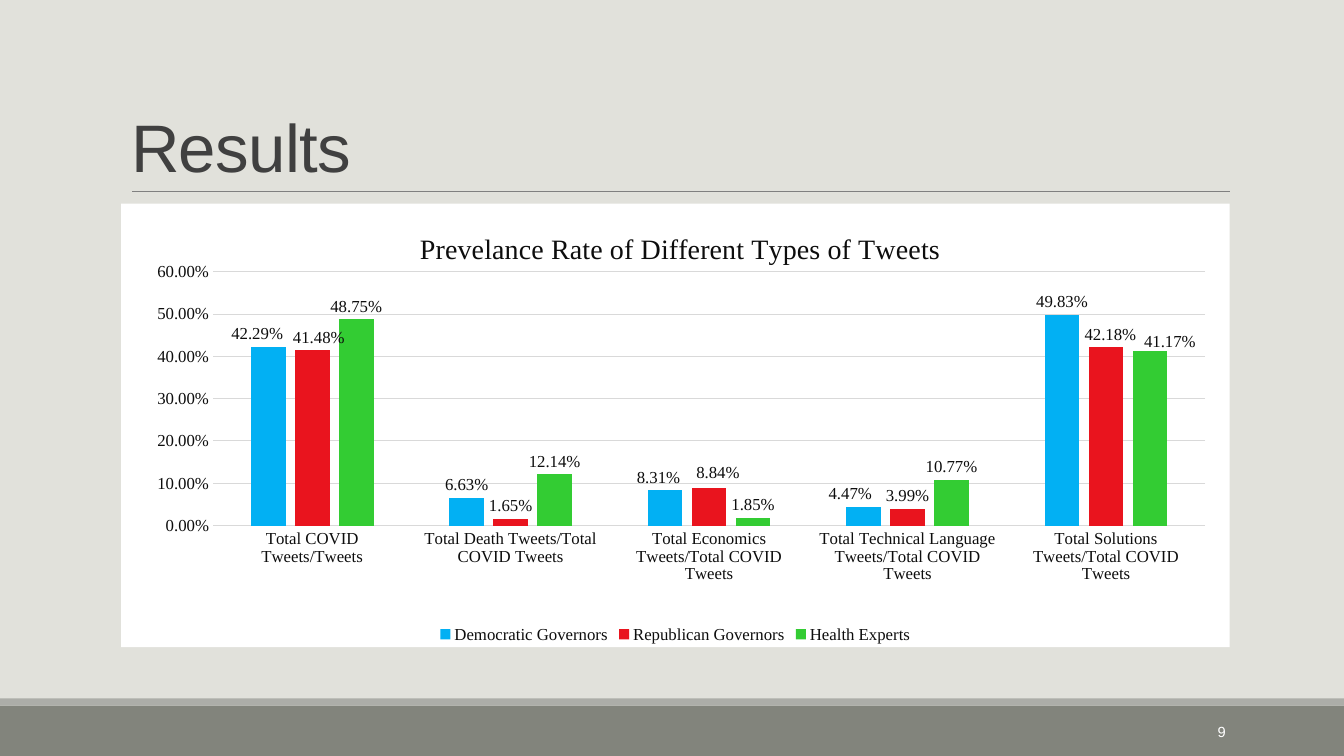
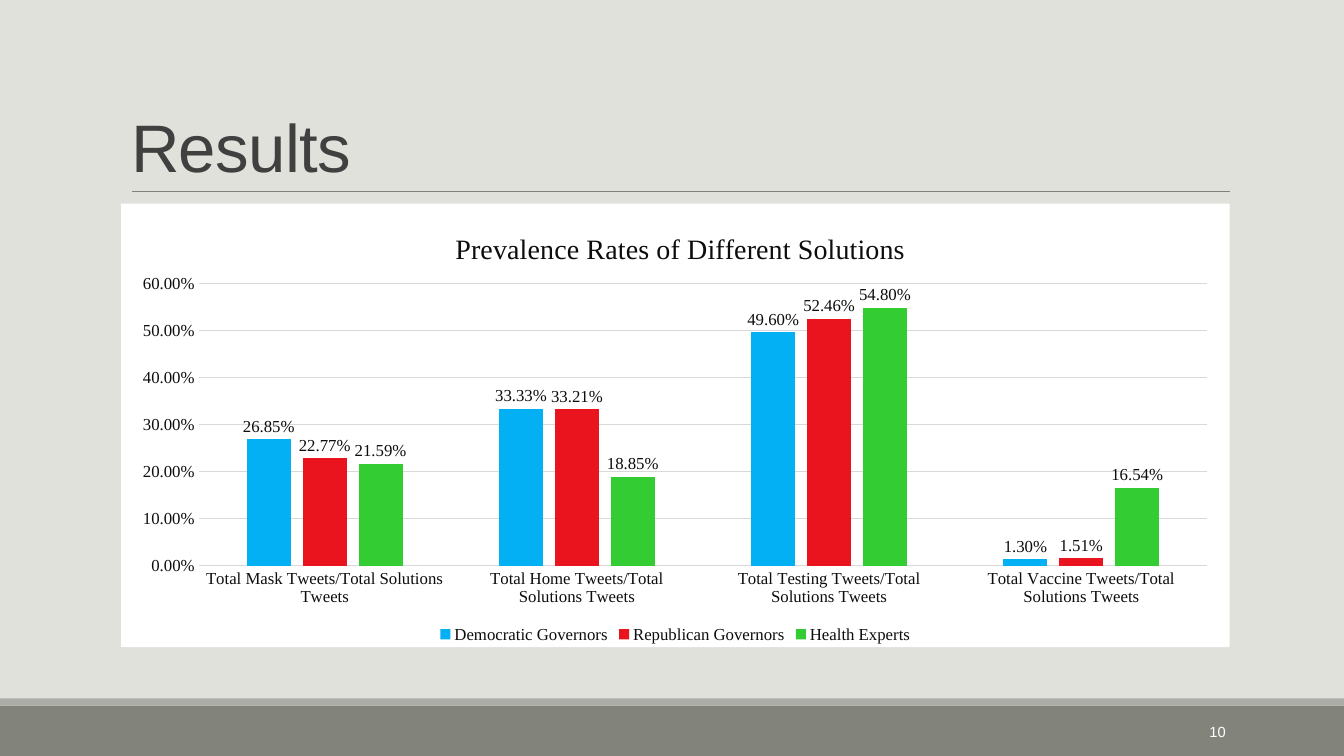
import dataclasses

import pptx
import pptx.chart.data
import pptx.dml.color
import pptx.enum.chart
import pptx.enum.shapes
import pptx.enum.text
import pptx.oxml
import pptx.oxml.ns
import pptx.util

Cm = pptx.util.Cm
Pt = pptx.util.Pt


def rgb(code):
    """Return a colour from its hexadecimal code."""
    return pptx.dml.color.RGBColor.from_string(code)


@dataclasses.dataclass(frozen=True)
class Theme:
    """Colours, fonts and type sizes of the presentation."""

    background: str = "E1E1DB"
    band: str = "82847C"
    band_edge: str = "ACADA8"
    rule: str = "808080"
    title: str = "404040"
    number: str = "FFFFFF"
    panel: str = "FFFFFF"
    chart_text: str = "0D0D0D"
    grid: str = "D9D9D9"
    series: tuple = ("02B0F3", "E9141E", "33CC33")
    font: str = "Arial"
    chart_font: str = "Times New Roman"
    title_size: float = 48
    number_size: float = 10.5
    chart_title_size: float = 20
    chart_size: float = 12
    percent: str = "0.00%"


@dataclasses.dataclass(frozen=True)
class Box:
    """A rectangle measured in centimetres."""

    left: float
    top: float
    width: float
    height: float

    def lengths(self):
        """Return left, top, width and height as lengths."""
        return tuple(Cm(value) for value in dataclasses.astuple(self))


@dataclasses.dataclass(frozen=True)
class Results:
    """The contents of one results slide."""

    number: int
    chart_title: str
    title_place: tuple
    plot_place: tuple
    categories: tuple
    values: tuple
    label_shifts: dict = dataclasses.field(default_factory=dict)


THEME = Theme()
PAGE = Box(0, 0, 33.87, 19.05)
TITLE = Box(3.05, 0.79, 27.94, 4.04)
CHART = Box(3.05, 5.13, 27.94, 11.18)
FOOTER = Box(0, 17.6, 33.87, 1.45)
GOVERNORS = ("Democratic Governors", "Republican Governors", "Health Experts")

SLIDES = (
    Results(
        9,
        "Prevelance Rate of Different Types of Tweets",
        (0.265, 0.05),
        (0.083, 0.154, 0.895, 0.572),
        (
            "Total COVID Tweets/Tweets",
            "Total Death Tweets/Total COVID Tweets",
            "Total Economics Tweets/Total COVID Tweets",
            "Total Technical Language Tweets/Total COVID Tweets",
            "Total Solutions Tweets/Total COVID Tweets",
        ),
        (
            (0.4229, 0.0663, 0.0831, 0.0447, 0.4983),
            (0.4148, 0.0165, 0.0884, 0.0399, 0.4218),
            (0.4875, 0.1214, 0.0185, 0.1077, 0.4117),
        ),
        {
            (0, 0): (-0.01, 0),
            (0, 2): (-0.006, 0),
            (0, 3): (-0.012, 0),
            (1, 0): (0.006, 0),
            (1, 2): (0.008, -0.006),
            (1, 4): (0.004, 0),
            (2, 4): (0.018, 0.006),
        },
    ),
    Results(
        10,
        "Prevalence Rates of Different Solutions",
        (0.297, 0.05),
        (0.07, 0.18, 0.91, 0.636),
        (
            "Total Mask Tweets/Total Solutions Tweets",
            "Total Home Tweets/Total Solutions Tweets",
            "Total Testing Tweets/Total Solutions Tweets",
            "Total Vaccine Tweets/Total Solutions Tweets",
        ),
        (
            (0.2685, 0.3333, 0.496, 0.013),
            (0.2277, 0.3321, 0.5246, 0.0151),
            (0.2159, 0.1885, 0.548, 0.1654),
        ),
    ),
)


def style_font(font, name, size, color):
    """Set the face, size and colour of a font."""
    font.name = name
    font.size = Pt(size)
    font.bold = False
    font.color.rgb = rgb(color)


def add_band(slide, box, color):
    """Draw a plain filled rectangle."""
    band = slide.shapes.add_shape(pptx.enum.shapes.MSO_SHAPE.RECTANGLE, *box.lengths())
    band.shadow.inherit = False
    band.fill.solid()
    band.fill.fore_color.rgb = rgb(color)
    band.line.fill.background()
    return band


def add_rule(slide, box):
    """Draw the thin rule along the bottom of the title box."""
    bottom = Cm(box.top + box.height)
    rule = slide.shapes.add_connector(
        pptx.enum.shapes.MSO_CONNECTOR.STRAIGHT,
        Cm(box.left + 0.28), bottom, Cm(box.left + box.width), bottom,
    )
    rule.line.color.rgb = rgb(THEME.rule)
    rule.line.width = Pt(0.5)
    properties = rule.element.xpath("./p:spPr")[0]
    properties.append(pptx.oxml.parse_xml(f"<a:effectLst {pptx.oxml.ns.nsdecls('a')}/>"))
    return rule


def dress_layout(layout, slide):
    """Give the layout its background, footer bands and title rule."""
    layout.background.fill.solid()
    layout.background.fill.fore_color.rgb = rgb(THEME.background)
    edge_height = 0.18
    lower = Box(FOOTER.left, FOOTER.top + edge_height, FOOTER.width, FOOTER.height - edge_height)
    edge = Box(FOOTER.left, FOOTER.top, FOOTER.width, edge_height)
    decorations = (
        add_band(slide, lower, THEME.band),
        add_band(slide, edge, THEME.band_edge),
        add_rule(slide, TITLE),
    )
    for identifier, shape in enumerate(decorations, start=20):
        shape.element.xpath(".//p:cNvPr")[0].set("id", str(identifier))
        layout.shapes.element.append(shape.element)


def place_title(slide, box, text):
    """Move and format the title placeholder."""
    title = slide.shapes.title
    title.left, title.top, title.width, title.height = box.lengths()
    frame = title.text_frame
    frame.text = text
    frame.auto_size = pptx.enum.text.MSO_AUTO_SIZE.NONE
    frame.vertical_anchor = pptx.enum.text.MSO_ANCHOR.BOTTOM
    paragraph = frame.paragraphs[0]
    paragraph.alignment = pptx.enum.text.PP_ALIGN.LEFT
    paragraph.line_spacing = 0.85
    style_font(paragraph.font, THEME.font, THEME.title_size, THEME.title)
    title.element.xpath(".//a:defRPr")[0].set("spc", "-50")


def place_number(slide, box, number):
    """Write the slide number at the right of the footer."""
    number_box = Box(box.left + 27.51, box.top + 0.33, 3.63, 1.02)
    shape = slide.shapes.add_textbox(*number_box.lengths())
    frame = shape.text_frame
    frame.word_wrap = True
    frame.vertical_anchor = pptx.enum.text.MSO_ANCHOR.MIDDLE
    frame.text = str(number)
    paragraph = frame.paragraphs[0]
    paragraph.alignment = pptx.enum.text.PP_ALIGN.RIGHT
    style_font(paragraph.font, THEME.font, THEME.number_size, THEME.number)


def set_layout(parent, index, place, target="", edge=True):
    """Give a chart part a manual layout as fractions of the chart."""
    for existing in parent.xpath("./c:layout"):
        parent.remove(existing)
    modes = '<c:xMode val="edge"/><c:yMode val="edge"/>' if edge else ""
    inner = f'<c:layoutTarget val="{target}"/>' if target else ""
    sizes = "".join(f'<c:{key} val="{value}"/>' for key, value in zip("xywh", place))
    parent.insert(index, pptx.oxml.parse_xml(
        f"<c:layout {pptx.oxml.ns.nsdecls('c')}><c:manualLayout>"
        f"{inner}{modes}{sizes}</c:manualLayout></c:layout>"
    ))


def format_axes(chart):
    """Style both axes and the gridlines."""
    for axis in (chart.category_axis, chart.value_axis):
        axis.major_tick_mark = pptx.enum.chart.XL_TICK_MARK.NONE
        axis.minor_tick_mark = pptx.enum.chart.XL_TICK_MARK.NONE
        style_font(axis.tick_labels.font, THEME.chart_font, THEME.chart_size, THEME.chart_text)
    value_axis = chart.value_axis
    value_axis.minimum_scale, value_axis.maximum_scale, value_axis.major_unit = 0, 0.6, 0.1
    value_axis.tick_labels.number_format = THEME.percent
    value_axis.tick_labels.number_format_is_linked = False
    value_axis.format.line.fill.background()
    for line in (chart.category_axis.format.line, value_axis.major_gridlines.format.line):
        line.color.rgb = rgb(THEME.grid)
        line.width = Pt(0.75)


def format_series(chart, label_shifts):
    """Colour the columns, label them and shift crowded labels."""
    plot = chart.plots[0]
    plot.gap_width, plot.overlap = 219, -27
    plot.vary_by_categories = False
    outside = pptx.enum.chart.XL_LABEL_POSITION.OUTSIDE_END
    for series, color in zip(plot.series, THEME.series):
        series.format.fill.solid()
        series.format.fill.fore_color.rgb = rgb(color)
        labels = series.data_labels
        labels.show_value = True
        labels.number_format = THEME.percent
        labels.number_format_is_linked = False
        labels.position = outside
        style_font(labels.font, THEME.chart_font, THEME.chart_size, THEME.chart_text)
    for (series_index, point_index), shift in label_shifts.items():
        label = plot.series[series_index].points[point_index].data_label
        style_font(label.font, THEME.chart_font, THEME.chart_size, THEME.chart_text)
        label.position = outside
        query = f'.//c:ser[c:idx/@val="{series_index}"]//c:dLbl[c:idx/@val="{point_index}"]'
        set_layout(chart.element.xpath(query)[0], 1, shift, edge=False)


def place_chart(slide, box, results):
    """Add the clustered column chart on its white panel."""
    data = pptx.chart.data.CategoryChartData(number_format=THEME.percent)
    data.categories = results.categories
    for name, values in zip(GOVERNORS, results.values):
        data.add_series(name, values)
    kind = pptx.enum.chart.XL_CHART_TYPE.COLUMN_CLUSTERED
    chart = slide.shapes.add_chart(kind, *box.lengths(), data).chart
    style_font(chart.font, THEME.chart_font, THEME.chart_size, THEME.chart_text)
    chart.element.xpath("./c:chart")[0].addnext(pptx.oxml.parse_xml(
        f"<c:spPr {pptx.oxml.ns.nsdecls('c', 'a')}><a:solidFill>"
        f'<a:srgbClr val="{THEME.panel}"/></a:solidFill><a:ln><a:noFill/></a:ln></c:spPr>'
    ))
    chart.has_title = True
    frame = chart.chart_title.text_frame
    frame.text = results.chart_title
    style_font(frame.paragraphs[0].font, THEME.chart_font, THEME.chart_title_size, THEME.chart_text)
    set_layout(chart.element.xpath("./c:chart/c:title")[0], 1, results.title_place)
    set_layout(chart.element.xpath("./c:chart/c:plotArea")[0], 0, results.plot_place, "inner")
    chart.has_legend = True
    chart.legend.position = pptx.enum.chart.XL_LEGEND_POSITION.BOTTOM
    chart.legend.include_in_layout = False
    style_font(chart.legend.font, THEME.chart_font, THEME.chart_size, THEME.chart_text)
    format_axes(chart)
    format_series(chart, results.label_shifts)


def main():
    """Build and save the presentation."""
    presentation = pptx.Presentation()
    _, _, presentation.slide_width, presentation.slide_height = PAGE.lengths()
    layout = presentation.slide_layouts.get_by_name("Title Only")
    for results in SLIDES:
        slide = presentation.slides.add_slide(layout)
        if results is SLIDES[0]:
            dress_layout(layout, slide)
        place_title(slide, TITLE, "Results")
        place_number(slide, FOOTER, results.number)
        place_chart(slide, CHART, results)
    presentation.save("out.pptx")


if __name__ == "__main__":
    main()
